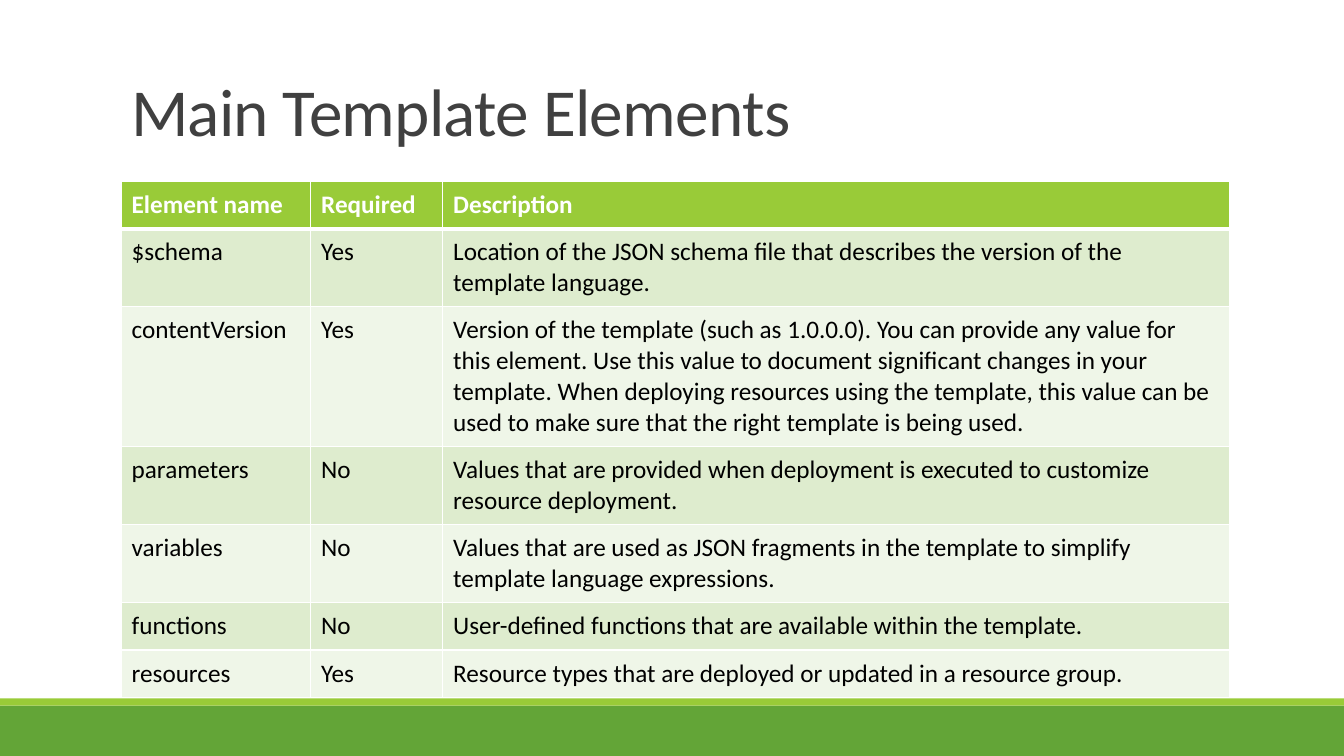
from dataclasses import dataclass

from lxml.etree import SubElement
from pptx import Presentation
from pptx.dml.color import RGBColor as Color
from pptx.enum.shapes import MSO_SHAPE as Shape
from pptx.enum.text import MSO_ANCHOR as Anchor, MSO_AUTO_SIZE as Fit, PP_ALIGN as Align
from pptx.oxml.ns import qn
from pptx.util import Pt


@dataclass(frozen=True)
class Theme:
    font: str = "Calibri"
    head: str = "99CB38"
    base: str = "63A537"
    odd: str = "DEECCE"
    even: str = "EFF6E8"
    white: str = "FFFFFF"
    black: str = "000000"
    grey: str = "404040"
    large: int = 48
    small: int = 18


THEME = Theme()
WIDTH, HEIGHT = 960, 540
LEFT, TOP = 86.4, 129.6
COLS = (135.4, 94.3, 562.3)
LINE, PAD = 22, 11.8
HEADS = ("Element name", "Required", "Description")
ROWS = (
    (1, HEADS),
    (2, ("$schema", "Yes",
         "Location of the JSON schema file that describes the version of the "
         "template language.")),
    (4, ("contentVersion", "Yes",
         "Version of the template (such as 1.0.0.0). You can provide any value "
         "for this element. Use this value to document significant changes in "
         "your template. When deploying resources using the template, this "
         "value can be used to make sure that the right template is being used.")),
    (2, ("parameters", "No",
         "Values that are provided when deployment is executed to customize "
         "resource deployment.")),
    (2, ("variables", "No",
         "Values that are used as JSON fragments in the template to simplify "
         "template language expressions.")),
    (1, ("functions", "No",
         "User-defined functions that are available within the template.")),
    (1, ("resources", "Yes",
         "Resource types that are deployed or updated in a resource group.")),
)


def paint(fill, tone):
    fill.solid()
    fill.fore_color.rgb = Color.from_string(tone)


def write(para, text, size, tone, bold=False):
    para.alignment = Align.LEFT
    run = para.add_run()
    run.text = text
    run.font.name = THEME.font
    run.font.size = Pt(size)
    run.font.bold = bold
    run.font.color.rgb = Color.from_string(tone)
    return run


def add_band(slide, top, height, tone):
    band = slide.shapes.add_shape(Shape.RECTANGLE, 0, Pt(top), Pt(WIDTH), Pt(height))
    band.shadow.inherit = False
    paint(band.fill, tone)
    band.line.fill.background()


def set_title(slide, text):
    title = slide.shapes.title
    title.left, title.top = Pt(LEFT), Pt(22.3)
    title.width, title.height = Pt(792), Pt(88.6)
    frame = title.text_frame
    frame.word_wrap = True
    frame.auto_size = Fit.NONE
    frame.vertical_anchor = Anchor.BOTTOM
    para = frame.paragraphs[0]
    para.line_spacing = 0.85
    run = write(para, text, THEME.large, THEME.grey)
    run.font._element.set("spc", "-50")


def add_edge(cell, side, width):
    edge = SubElement(cell._tc.get_or_add_tcPr(), qn(f"a:ln{side}"), w=str(Pt(width)))
    fill = SubElement(edge, qn("a:solidFill"))
    SubElement(fill, qn("a:srgbClr"), val=THEME.white)


def fill_cell(cell, text, row):
    head = row == 0
    cell.margin_left = cell.margin_right = Pt(7.7)
    cell.margin_top = cell.margin_bottom = Pt(5.76)
    cell.vertical_anchor = Anchor.BOTTOM if head else Anchor.TOP
    thick = {"T": 3 if row == 1 else 1, "B": 3 if head else 1}
    for side in "LRTB":
        add_edge(cell, side, thick.get(side, 1))
    paint(cell.fill, THEME.head if head else THEME.odd if row % 2 else THEME.even)
    tone = THEME.white if head else THEME.black
    write(cell.text_frame.paragraphs[0], text, THEME.small, tone, head)


def add_grid(slide):
    highs = [PAD + LINE * count for count, _ in ROWS]
    frame = slide.shapes.add_table(len(ROWS), len(COLS), Pt(LEFT), Pt(TOP),
                                   Pt(sum(COLS)), Pt(sum(highs)))
    grid = frame.table
    grid.horz_banding = False
    for col, width in zip(grid.columns, COLS):
        col.width = Pt(width)
    for row, (_, texts) in enumerate(ROWS):
        grid.rows[row].height = Pt(highs[row])
        for col, text in enumerate(texts):
            fill_cell(grid.cell(row, col), text, row)


def main():
    deck = Presentation()
    deck.slide_width, deck.slide_height = Pt(WIDTH), Pt(HEIGHT)
    slide = deck.slides.add_slide(deck.slide_layouts[5])
    add_band(slide, 504, 36, THEME.base)
    add_band(slide, 498.8, 5.2, THEME.head)
    set_title(slide, "Main Template Elements")
    add_grid(slide)
    deck.save("out.pptx")


if __name__ == "__main__":
    main()
